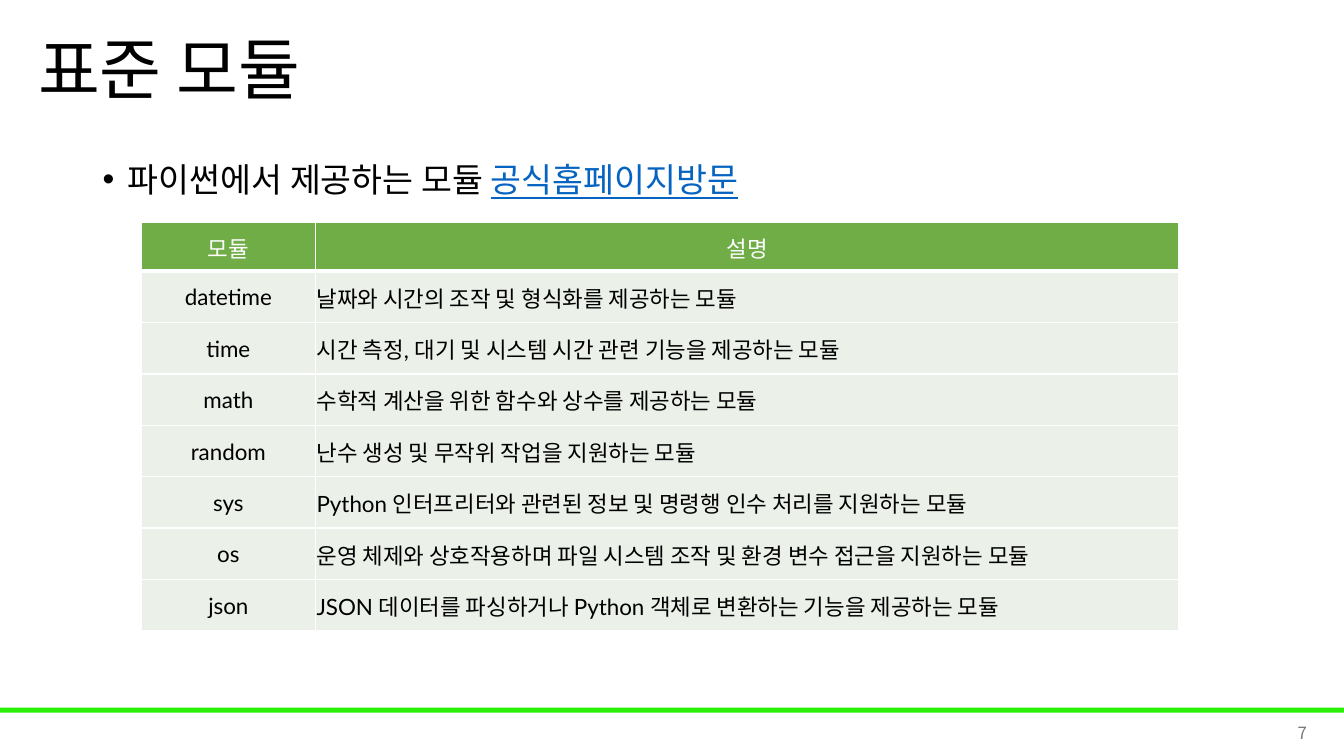
from lxml import etree
from pptx import Presentation
from pptx.dml.color import RGBColor
from pptx.enum.shapes import MSO_SHAPE
from pptx.enum.text import MSO_ANCHOR, PP_ALIGN
from pptx.oxml.ns import qn
from pptx.util import Inches, Pt

RECTANGLE = MSO_SHAPE.RECTANGLE
TOP, MIDDLE = MSO_ANCHOR.TOP, MSO_ANCHOR.MIDDLE
LEFT, CENTER, RIGHT = PP_ALIGN.LEFT, PP_ALIGN.CENTER, PP_ALIGN.RIGHT
KOREAN_FONT = "Noto Sans CJK KR"
TABLE_FONT = "Lato"


def color(value):
    return RGBColor.from_string(value)


def style_run(run, size, value, font=KOREAN_FONT):
    run.font.size = Pt(size)
    run.font.name = font
    run.font.color.rgb = color(value)
    etree.SubElement(run.font._element, qn("a:ea"), typeface=KOREAN_FONT)


presentation = Presentation()
presentation.slide_width = Inches(13.33)
presentation.slide_height = Inches(7.5)
slide = presentation.slides.add_slide(presentation.slide_layouts[6])

footer_bar = slide.shapes.add_shape(RECTANGLE, 0, Inches(7.02), Inches(13.33), Inches(0.05))
footer_bar.shadow.inherit = False
footer_bar.fill.solid()
footer_bar.fill.fore_color.rgb = color("2AEF06")
footer_bar.line.fill.background()

text_boxes = [
    ("표준 모듈", (0.28, 0, 11.5, 1.45), MIDDLE, LEFT, 0.9, 48, "000000"),
    ("파이썬에서 제공하는 모듈 ", (0.92, 1.45, 11.5, 5.31), TOP, LEFT, 1.2, 24, "000000"),
    ("7", (10.06, 7.07, 3, 0.4), MIDDLE, RIGHT, 1.0, 12, "797979"),
]
paragraphs = []
for text, place, anchor, alignment, spacing, size, text_color in text_boxes:
    text_box = slide.shapes.add_textbox(*map(Inches, place))
    text_frame = text_box.text_frame
    text_frame.word_wrap = True
    text_frame.vertical_anchor = anchor
    text_frame.text = text
    paragraph = text_frame.paragraphs[0]
    paragraph.alignment = alignment
    paragraph.line_spacing = spacing
    style_run(paragraph.runs[0], size, text_color)
    paragraphs.append(paragraph)

bullet_paragraph = paragraphs[1]
properties = bullet_paragraph._p.get_or_add_pPr()
properties.set("marL", str(Inches(0.25)))
properties.set("indent", str(-Inches(0.25)))
etree.SubElement(properties, qn("a:buFont"), typeface="Arial")
etree.SubElement(properties, qn("a:buChar"), char="•")
homepage_run = bullet_paragraph.add_run()
homepage_run.text = "공식홈페이지방문"
style_run(homepage_run, 24, "0563C1")
homepage_run.font.underline = True

modules = [
    ("모듈", "설명"),
    ("datetime", "날짜와 시간의 조작 및 형식화를 제공하는 모듈"),
    ("time", "시간 측정, 대기 및 시스템 시간 관련 기능을 제공하는 모듈"),
    ("math", "수학적 계산을 위한 함수와 상수를 제공하는 모듈"),
    ("random", "난수 생성 및 무작위 작업을 지원하는 모듈"),
    ("sys", "Python 인터프리터와 관련된 정보 및 명령행 인수 처리를 지원하는 모듈"),
    ("os", "운영 체제와 상호작용하며 파일 시스템 조작 및 환경 변수 접근을 지원하는 모듈"),
    ("json", "JSON 데이터를 파싱하거나 Python 객체로 변환하는 기능을 제공하는 모듈"),
]
table = slide.shapes.add_table(
    len(modules), 2, Inches(1.4), Inches(2.21), Inches(10.29), Inches(4.03)
).table
table.columns[0].width = Inches(1.73)
table.columns[1].width = Inches(8.56)

for row_index, row_texts in enumerate(modules):
    is_header = row_index == 0
    table.rows[row_index].height = Inches(0.48 if is_header else 0.51)
    border_widths = {
        "a:lnL": 1,
        "a:lnR": 1,
        "a:lnT": 3 if row_index == 1 else 1,
        "a:lnB": 3 if is_header else 1,
    }
    for column_index, text in enumerate(row_texts):
        cell = table.cell(row_index, column_index)
        cell.margin_left = cell.margin_top = cell.margin_right = Inches(0.01)
        cell.margin_bottom = 0
        cell.vertical_anchor = MIDDLE
        cell_properties = cell._tc.get_or_add_tcPr()
        for side, width in border_widths.items():
            border = etree.SubElement(cell_properties, qn(side), w=str(Pt(width)))
            border_fill = etree.SubElement(border, qn("a:solidFill"))
            etree.SubElement(border_fill, qn("a:srgbClr"), val="FFFFFF")
        cell.fill.solid()
        cell.fill.fore_color.rgb = color("70AD47" if is_header else "EBF1E9")
        cell.text_frame.text = text
        paragraph = cell.text_frame.paragraphs[0]
        paragraph.alignment = CENTER if is_header or column_index == 0 else LEFT
        run = paragraph.runs[0]
        style_run(run, 16, "FFFFFF" if is_header else "000000", TABLE_FONT)
        run.font.bold = False

presentation.save("out.pptx")
